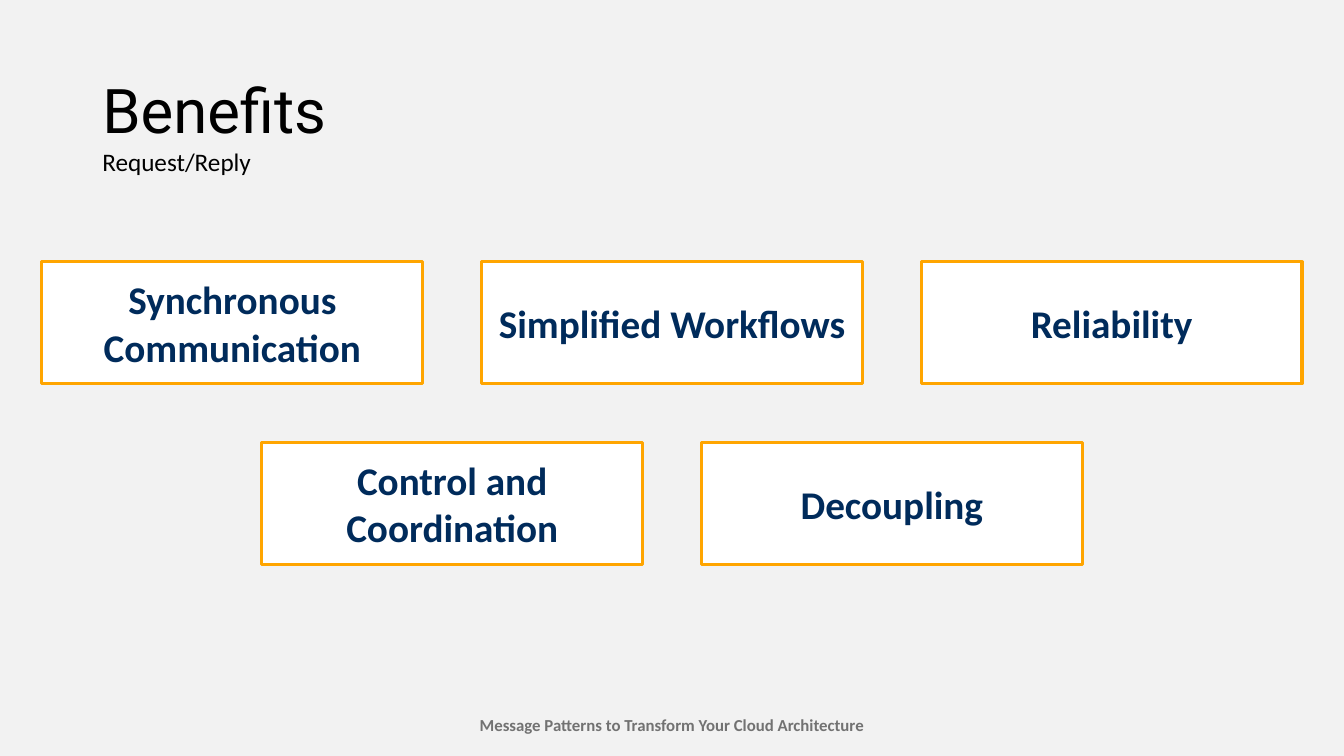
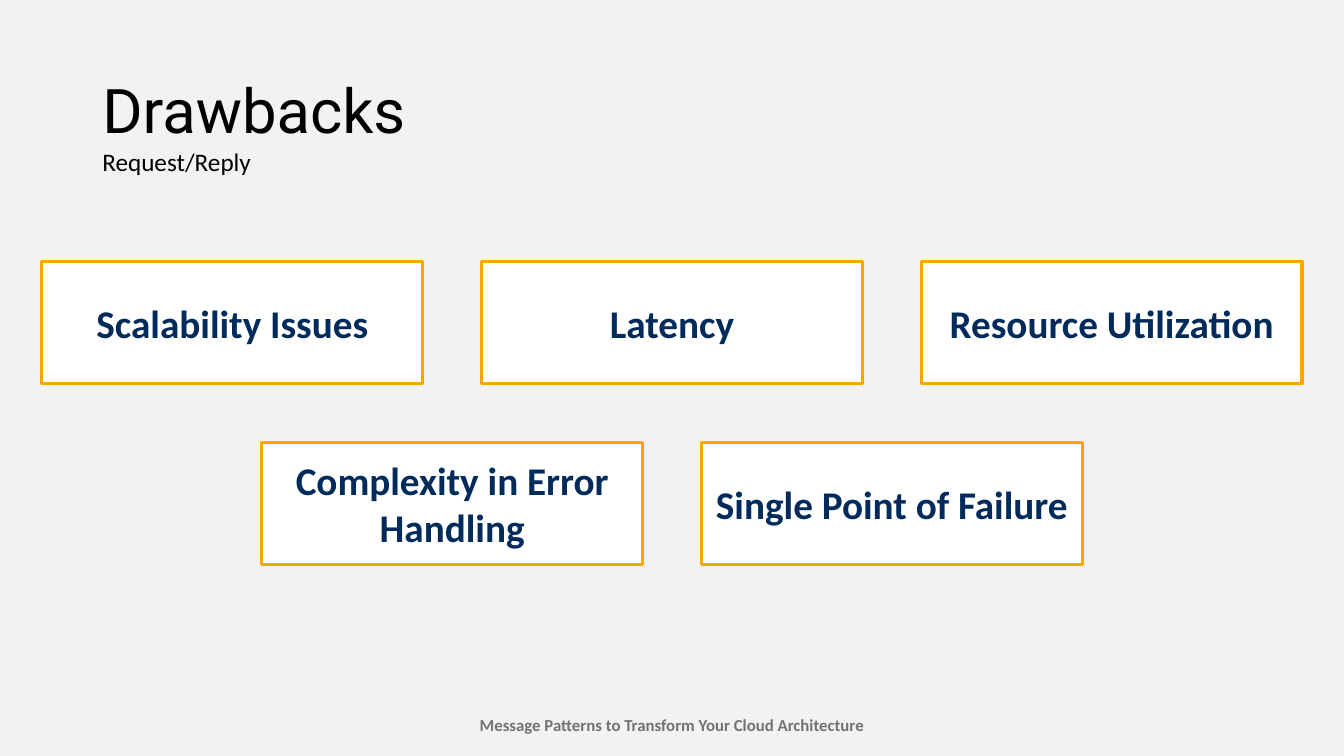
import pptx
import pptx.dml.color
import pptx.enum.shapes
import pptx.enum.text
import pptx.util

Cm, Pt = pptx.util.Cm, pptx.util.Pt
RGBColor = pptx.dml.color.RGBColor
PP_ALIGN = pptx.enum.text.PP_ALIGN
MSO_ANCHOR = pptx.enum.text.MSO_ANCHOR

# Shared style
BACKGROUND = RGBColor(0xF2, 0xF2, 0xF2)
WHITE = RGBColor(0xFF, 0xFF, 0xFF)
BLACK = RGBColor(0x00, 0x00, 0x00)
NAVY = RGBColor(0x00, 0x2B, 0x5B)
ORANGE = RGBColor(0xFF, 0xA5, 0x00)
GREY = RGBColor(0x72, 0x72, 0x72)
TITLE_FONT, BODY_FONT = "Roboto", "Calibri"
FOOTER = "Message Patterns to Transform Your Cloud Architecture"

# Shared layout, in centimetres
SLIDE_W, SLIDE_H = 33.87, 19.05
CARD_W, CARD_H, GAP = 9.6, 3.07, 1.48
CARDS_TOP = 6.6

SLIDES = [
    ("Benefits", "Request/Reply", [
        ["Synchronous Communication", "Simplified Workflows", "Reliability"],
        ["Control and Coordination", "Decoupling"],
    ]),
    ("Drawbacks", "Request/Reply", [
        ["Scalability Issues", "Latency", "Resource Utilization"],
        ["Complexity in Error Handling", "Single Point of Failure"],
    ]),
]


def write(shape, text, size, color, font=BODY_FONT, bold=False,
          align=PP_ALIGN.LEFT, anchor=MSO_ANCHOR.TOP, wrap=True):
    tf = shape.text_frame
    tf.word_wrap = wrap
    tf.vertical_anchor = anchor
    p = tf.paragraphs[0]
    p.text = text
    p.alignment = align
    p.font.name, p.font.size, p.font.bold = font, Pt(size), bold
    p.font.color.rgb = color
    return p


def add_text(s, box, text, size, color, **style):
    sp = s.shapes.add_textbox(*(Cm(v) for v in box))
    return write(sp, text, size, color, **style)


def add_heading(s, left, top, width, title, subtitle):
    p = add_text(s, (left, top, width, 3.68), title, 44, BLACK,
                 font=TITLE_FONT, anchor=MSO_ANCHOR.MIDDLE)
    p.line_spacing = 0.9
    add_text(s, (left, top + 2.54, 5.3, 1.02), subtitle, 18, BLACK, wrap=False)


def add_card(s, left, top, text):
    sp = s.shapes.add_shape(pptx.enum.shapes.MSO_SHAPE.RECTANGLE,
                            Cm(left), Cm(top), Cm(CARD_W), Cm(CARD_H))
    sp.shadow.inherit = False
    sp.fill.solid()
    sp.fill.fore_color.rgb = WHITE
    sp.line.color.rgb = ORANGE
    sp.line.width = Pt(2.25)
    write(sp, text, 28, NAVY, bold=True, align=PP_ALIGN.CENTER,
          anchor=MSO_ANCHOR.MIDDLE)


def add_card_rows(s, left, top, width, rows):
    """Stack rows of cards, each row centred in the given width."""
    for i, row in enumerate(rows):
        row_w = len(row) * (CARD_W + GAP) - GAP
        row_left = left + (width - row_w) / 2
        for j, text in enumerate(row):
            add_card(s, row_left + j * (CARD_W + GAP),
                     top + i * (CARD_H + GAP), text)


def add_footer(s, left, top, width):
    add_text(s, (left, top, width, 0.77), FOOTER, 12, GREY, bold=True,
             align=PP_ALIGN.CENTER)


def add_card_slide(prs, title, subtitle, rows):
    s = prs.slides.add_slide(prs.slide_layouts[6])
    add_footer(s, 0, 17.88, SLIDE_W)
    add_heading(s, 2.33, 1.01, 29.21, title, subtitle)
    add_card_rows(s, 0, CARDS_TOP, SLIDE_W, rows)


def main():
    prs = pptx.Presentation()
    prs.slide_width, prs.slide_height = Cm(SLIDE_W), Cm(SLIDE_H)
    fill = prs.slide_master.background.fill
    fill.solid()
    fill.fore_color.rgb = BACKGROUND
    for title, subtitle, rows in SLIDES:
        add_card_slide(prs, title, subtitle, rows)
    prs.save("out.pptx")


if __name__ == "__main__":
    main()
